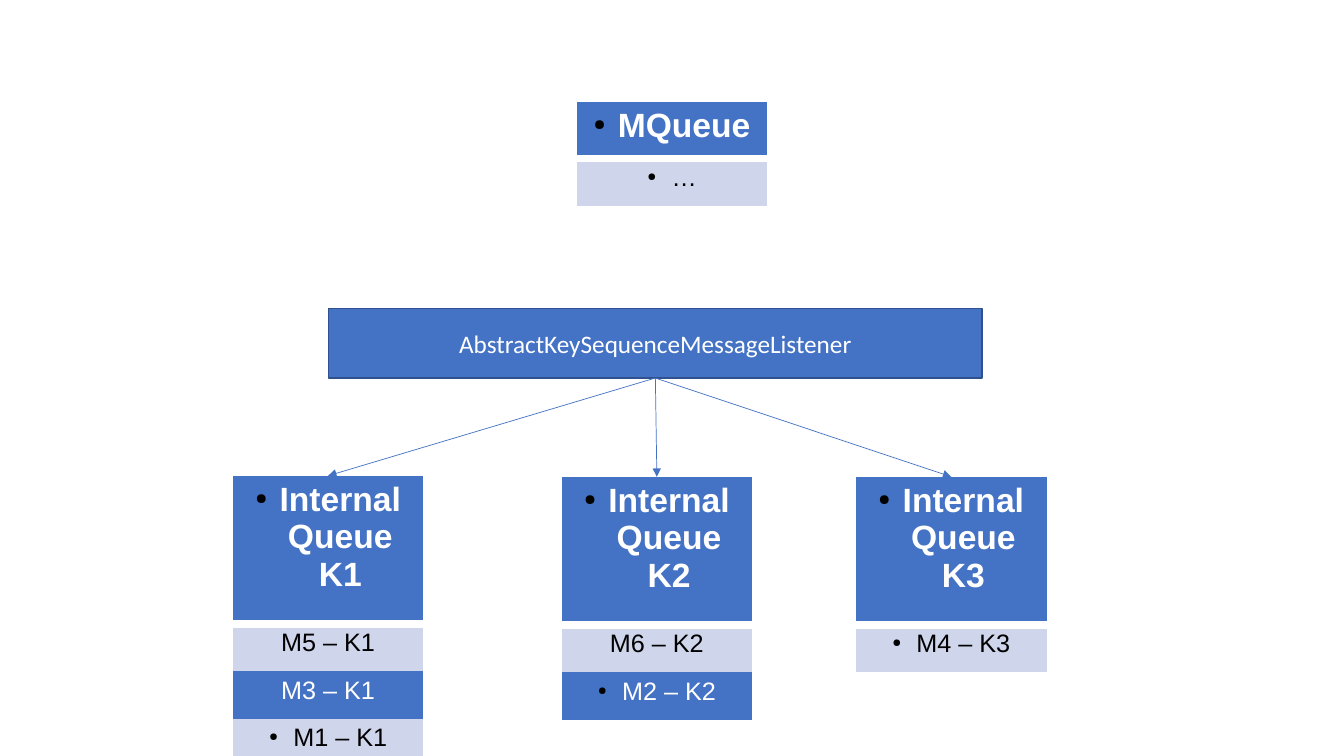
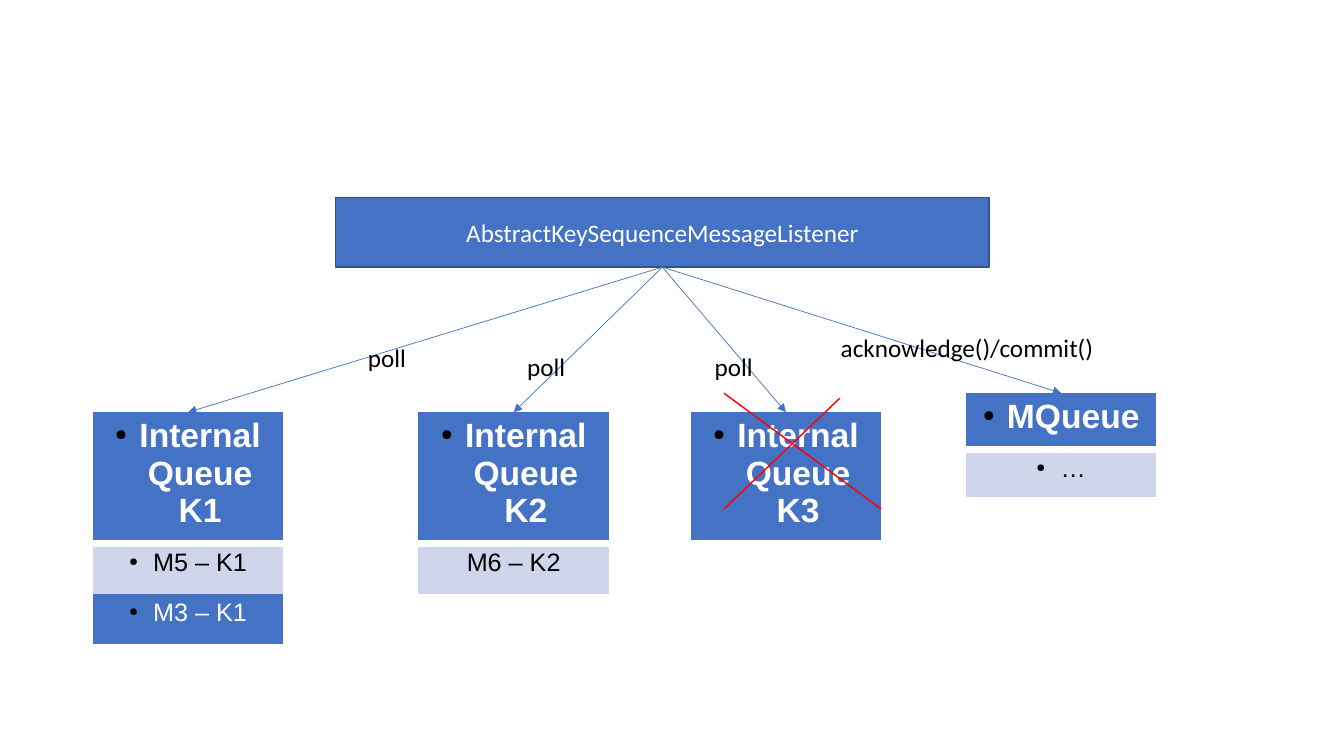
from dataclasses import dataclass

from lxml import etree
from pptx import Presentation
from pptx.dml.color import RGBColor
from pptx.enum.shapes import MSO_CONNECTOR, MSO_SHAPE
from pptx.enum.text import MSO_ANCHOR, PP_ALIGN
from pptx.oxml.ns import qn
from pptx.util import Inches, Pt

LINE = MSO_CONNECTOR.STRAIGHT
RECT = MSO_SHAPE.RECTANGLE
TOP, MIDDLE = MSO_ANCHOR.TOP, MSO_ANCHOR.MIDDLE
LEFT, CENTER = PP_ALIGN.LEFT, PP_ALIGN.CENTER
PLAIN = "{2D5ABB26-0587-4C30-8999-92F81FD0307C}"


@dataclass(frozen=True)
class Theme:
    blue: str = "4472C4"
    edge: str = "2F528F"
    pale: str = "CFD5EA"
    white: str = "FFFFFF"
    black: str = "000000"
    red: str = "FF0000"
    head: int = 24
    text: int = 18
    sans: str = "Arial"
    label: str = "Calibri"
    thin: float = 0.5
    rule: float = 1
    gap: float = 6
    indent: float = 0.24


THEME = Theme()
WIDTH = 1.89
BAR_W, BAR_H = 6.48, 0.69


@dataclass(frozen=True)
class Row:
    text: str
    dot: bool = True


@dataclass(frozen=True)
class Queue:
    left: float
    top: float
    title: str
    rows: tuple[Row, ...] = ()
    head: float = 1.3
    step: float = 0.5

    @property
    def port(self) -> tuple[float, float]:
        return self.left + WIDTH / 2, self.top


@dataclass(frozen=True)
class Label:
    left: float
    top: float
    width: float
    text: str


def color(code: str) -> RGBColor:
    return RGBColor.from_string(code)


def node(parent, tag: str, **attrs: str):
    return etree.SubElement(parent, qn(tag), attrs)


def write(frame, text: str, *, size: int = THEME.text, font: str = THEME.sans,
          ink: str = THEME.black, bold: bool = False, align=CENTER,
          dot: bool = False) -> None:
    para = frame.paragraphs[0]
    if dot:
        props = para._p.get_or_add_pPr()
        props.set("marL", str(Inches(THEME.indent)))
        props.set("indent", str(-Inches(THEME.indent)))
        node(node(props, "a:buClr"), "a:srgbClr", val=THEME.black)
        node(props, "a:buSzPct", val="45000")
        node(props, "a:buChar", char="●")
    para.alignment = align
    run = para.add_run()
    run.text = text
    run.font.size = Pt(size)
    run.font.name = font
    run.font.bold = bold
    run.font.color.rgb = color(ink)


def fill(item, code: str) -> None:
    item.fill.solid()
    item.fill.fore_color.rgb = color(code)


def border(cell) -> None:
    props = cell._tc.get_or_add_tcPr()
    line = etree.Element(qn("a:lnB"), w=str(Pt(THEME.gap)))
    node(node(line, "a:solidFill"), "a:srgbClr", val=THEME.white)
    props.insert(0, line)


def draw_line(slide, start: tuple[float, float], end: tuple[float, float], *,
              ink: str = THEME.blue, width: float = THEME.thin,
              arrow: bool = True) -> None:
    ends = [Inches(v) for v in (*start, *end)]
    link = slide.shapes.add_connector(LINE, *ends)
    link.line.color.rgb = color(ink)
    link.line.width = Pt(width)
    if arrow:
        node(link.line._get_or_add_ln(), "a:tailEnd", type="triangle")
    node(link._element.spPr, "a:effectLst")


def draw_bar(slide, left: float, top: float) -> tuple[float, float]:
    bar = slide.shapes.add_shape(
        RECT, Inches(left), Inches(top), Inches(BAR_W), Inches(BAR_H))
    bar.shadow.inherit = False
    fill(bar, THEME.blue)
    bar.line.color.rgb = color(THEME.edge)
    bar.line.width = Pt(THEME.rule)
    bar.text_frame.word_wrap = True
    bar.text_frame.vertical_anchor = MIDDLE
    write(bar.text_frame, "AbstractKeySequenceMessageListener",
          font=THEME.label, ink=THEME.white)
    return left + BAR_W / 2, top + BAR_H


def draw_queue(slide, queue: Queue) -> None:
    count = len(queue.rows) + 1
    high = queue.head + queue.step * len(queue.rows)
    table = slide.shapes.add_table(
        count, 1, Inches(queue.left), Inches(queue.top),
        Inches(WIDTH), Inches(high)).table
    table._tbl.tblPr.find(qn("a:tableStyleId")).text = PLAIN
    for i, row in enumerate((Row(queue.title), *queue.rows)):
        table.rows[i].height = Inches(queue.step if i else queue.head)
        cell = table.cell(i, 0)
        cell.vertical_anchor = TOP
        dark = i % 2 == 0
        fill(cell, THEME.blue if dark else THEME.pale)
        write(cell.text_frame, row.text, dot=row.dot, bold=i == 0,
              size=THEME.text if i else THEME.head,
              ink=THEME.white if dark else THEME.black)
    border(table.cell(0, 0))


def draw_label(slide, label: Label) -> None:
    box = slide.shapes.add_textbox(
        Inches(label.left), Inches(label.top), Inches(label.width), Inches(0.4))
    box.text_frame.word_wrap = False
    write(box.text_frame, label.text, font=THEME.label, align=LEFT)


def draw_flow(slide, left: float, top: float, queues: list[Queue]) -> None:
    port = draw_bar(slide, left, top)
    for queue in queues:
        draw_queue(slide, queue)
        draw_line(slide, port, queue.port)


def draw_push(slide) -> None:
    size = {"head": 1.47, "step": 0.47}
    draw_flow(slide, 3.26, 3.06, [
        Queue(2.31, 4.72, "Internal Queue K1",
              (Row("M5 – K1", False), Row("M3 – K1", False), Row("M1 – K1")),
              **size),
        Queue(5.57, 4.73, "Internal Queue K2",
              (Row("M6 – K2", False), Row("M2 – K2")), **size),
        Queue(8.49, 4.73, "Internal Queue K3", (Row("M4 – K3"),), **size),
    ])
    draw_queue(slide, Queue(5.72, 1.01, "MQueue", (Row("…"),), 0.56, 0.47))


def draw_poll(slide) -> None:
    draw_flow(slide, 3.33, 1.96, [
        Queue(9.58, 3.9, "MQueue", (Row("…"),), 0.56, 0.47),
        Queue(0.92, 4.09, "Internal Queue K1",
              (Row("M5 – K1"), Row("M3 – K1"))),
        Queue(4.15, 4.09, "Internal Queue K2", (Row("M6 – K2", False),)),
        Queue(6.85, 4.09, "Internal Queue K3"),
    ])
    for label in (
        Label(8.24, 3.25, 2.76, "acknowledge()/commit()"),
        Label(3.55, 3.35, 0.58, "poll"),
        Label(5.13, 3.44, 0.58, "poll"),
        Label(6.99, 3.44, 0.58, "poll"),
    ):
        draw_label(slide, label)
    for start, end in (((7.18, 3.9), (8.74, 5.05)), ((8.33, 3.95), (7.18, 5.05))):
        draw_line(slide, start, end, ink=THEME.red, width=THEME.rule, arrow=False)


def main() -> None:
    deck = Presentation()
    deck.slide_width, deck.slide_height = Inches(13.33), Inches(7.5)
    blank = deck.slide_layouts[6]
    for draw in (draw_push, draw_poll):
        draw(deck.slides.add_slide(blank))
    deck.save("out.pptx")


if __name__ == "__main__":
    main()
